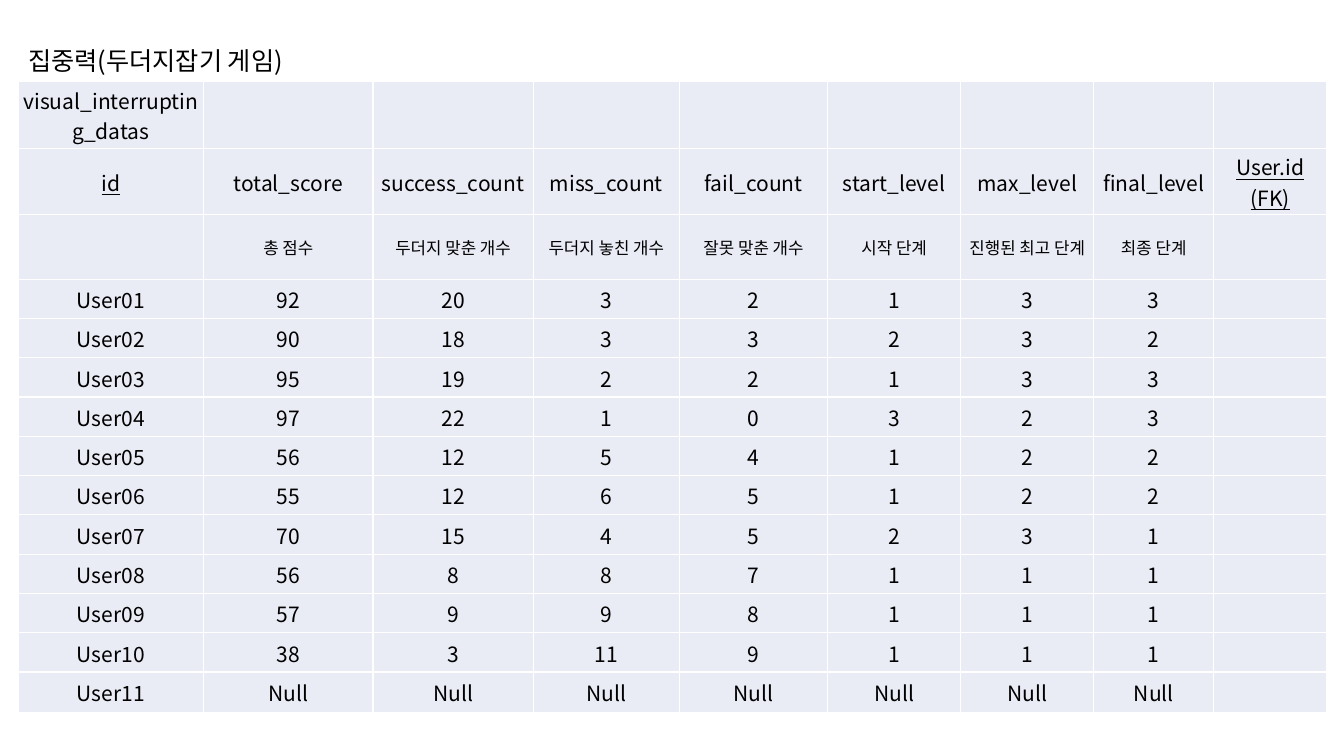
from lxml import etree
from pptx import Presentation
from pptx import util as u
from pptx.dml.color import RGBColor
from pptx.enum import text
from pptx.oxml.ns import qn

FONT = "Noto Sans CJK KR"
BLACK, WHITE, PALE = "000000", "FFFFFF", "E9EBF5"

COL_WIDTHS = [1.84, 1.68, 1.59, 1.45, 1.47, 1.32, 1.32, 1.19, 1.12]
HEAD_HEIGHTS = [0.66, 0.66, 0.64]
USER_HEIGHT = 0.39
LAST_HEIGHT = 0.4

TABLE_NAME = "visual_interrupting_datas"
FIELDS = ["id", "total_score", "success_count", "miss_count", "fail_count",
          "start_level", "max_level", "final_level", "User.id (FK)"]
KEYS = {"id", "User.id (FK)"}
MEANINGS = ["", "총 점수", "두더지 맞춘 개수", "두더지 놓친 개수", "잘못 맞춘 개수",
            "시작 단계", "진행된 최고 단계", "최종 단계"]
RESULTS = [
    [92, 20, 3, 2, 1, 3, 3],
    [90, 18, 3, 3, 2, 3, 2],
    [95, 19, 2, 2, 1, 3, 3],
    [97, 22, 1, 0, 3, 2, 3],
    [56, 12, 5, 4, 1, 2, 2],
    [55, 12, 6, 5, 1, 2, 2],
    [70, 15, 4, 5, 2, 3, 1],
    [56, 8, 8, 7, 1, 1, 1],
    [57, 9, 9, 8, 1, 1, 1],
    [38, 3, 11, 9, 1, 1, 1],
    ["Null"] * 7,
]


def rgb(value):
    return RGBColor.from_string(value)


def add_run(p, words, size, underline=None):
    r = p.add_run()
    r.text = words
    r.font.size = u.Pt(size)
    r.font.name = FONT
    r.font.underline = underline
    r.font.color.rgb = rgb(BLACK)
    latin = r.font._element.find(qn("a:latin"))
    ea = etree.Element(qn("a:ea"), typeface=FONT)
    latin.addnext(ea)


def add_borders(cell, color, width):
    """Rules all four sides; the lines must precede the cell's fill."""
    tc_pr = cell._tc.get_or_add_tcPr()
    for i, side in enumerate(("lnL", "lnR", "lnT", "lnB")):
        ln = etree.Element(qn("a:" + side), w=str(u.Pt(width)))
        fill = etree.SubElement(ln, qn("a:solidFill"))
        etree.SubElement(fill, qn("a:srgbClr"), val=color)
        tc_pr.insert(i, ln)


def fill_cell(cell, words, size):
    cell.fill.solid()
    cell.fill.fore_color.rgb = rgb(PALE)
    add_borders(cell, WHITE, 1)
    cell.vertical_anchor = text.MSO_ANCHOR.MIDDLE
    cell.margin_left = cell.margin_right = cell.margin_top = u.Inches(0.01)
    cell.margin_bottom = 0
    p = cell.text_frame.paragraphs[0]
    p.alignment = text.PP_ALIGN.CENTER
    if words:
        add_run(p, words, size, True if words in KEYS else None)


def place_title(s, x, y, w, h):
    sp = s.shapes.title
    sp.left, sp.top, sp.width, sp.height = map(u.Inches, (x, y, w, h))
    tf = sp.text_frame
    tf.word_wrap = False
    tf.auto_size = text.MSO_AUTO_SIZE.SHAPE_TO_FIT_TEXT
    tf.vertical_anchor = text.MSO_ANCHOR.TOP
    p = tf.paragraphs[0]
    p.alignment = text.PP_ALIGN.LEFT
    add_run(p, "집중력(두더지잡기 게임)", 18)


def add_score_table(s, x, y):
    users = [[f"User{n:02}", *map(str, scores)]
             for n, scores in enumerate(RESULTS, 1)]
    rows = [[TABLE_NAME], FIELDS, MEANINGS, *users]
    heights = HEAD_HEIGHTS + [USER_HEIGHT] * (len(users) - 1) + [LAST_HEIGHT]
    frame = s.shapes.add_table(
        len(rows), len(COL_WIDTHS), u.Inches(x), u.Inches(y),
        u.Inches(sum(COL_WIDTHS)), u.Inches(sum(heights)))
    table = frame.table
    table.first_row = table.horz_banding = False
    for column, width in zip(table.columns, COL_WIDTHS):
        column.width = u.Inches(width)
    for row, height, words in zip(table.rows, heights, rows):
        row.height = u.Inches(height)
        size = 12 if words is MEANINGS else 15
        for i, cell in enumerate(row.cells):
            fill_cell(cell, words[i] if i < len(words) else "", size)


def main():
    prs = Presentation()
    prs.slide_width, prs.slide_height = u.Inches(13.33), u.Inches(7.5)
    s = prs.slides.add_slide(prs.slide_layouts[5])
    add_score_table(s, 0.18, 0.81)
    place_title(s, 0.18, 0.4, 2.97, 0.4)
    prs.save("out.pptx")


if __name__ == "__main__":
    main()
